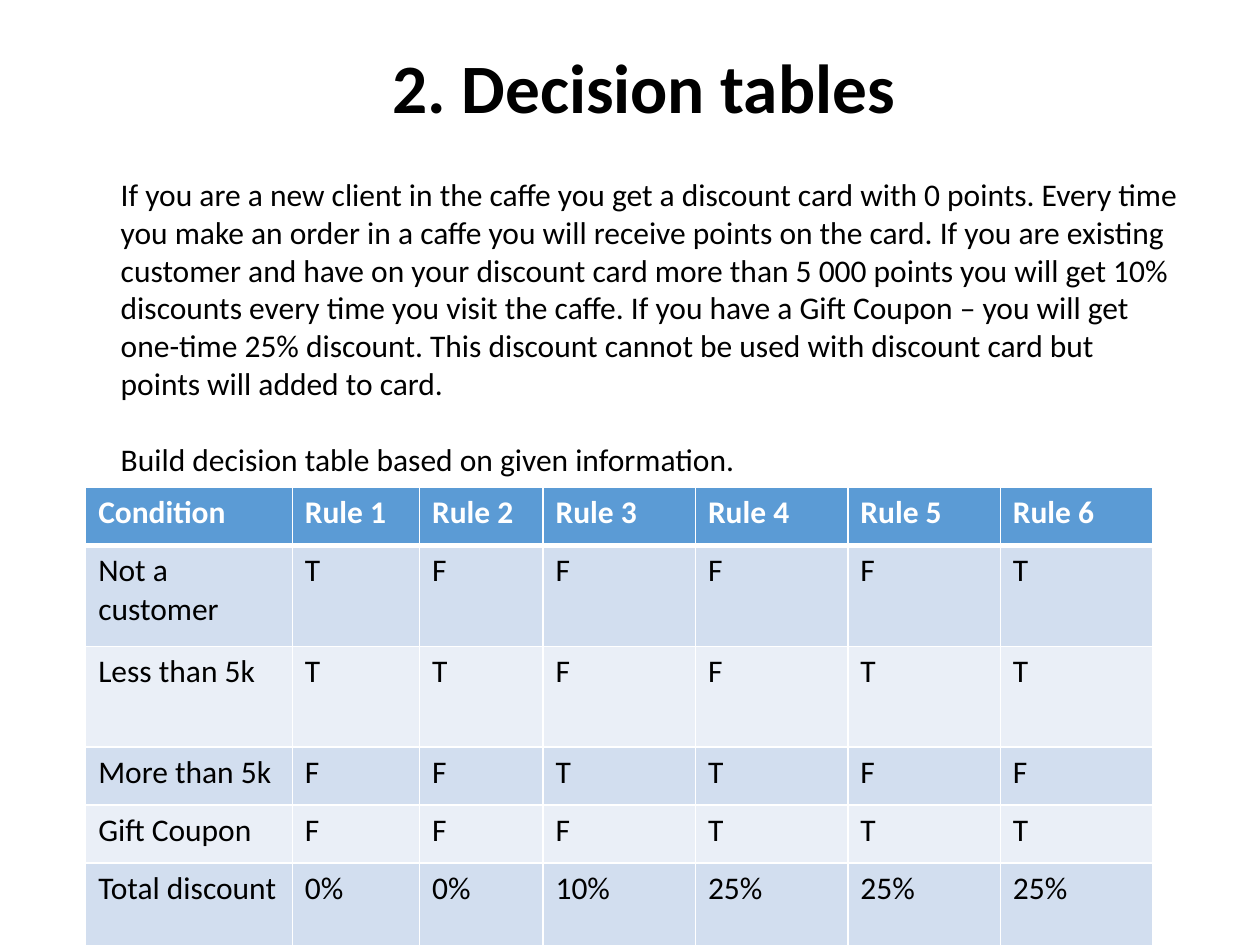
from lxml.etree import SubElement
from pptx import Presentation
from pptx.dml.color import RGBColor
from pptx.enum.text import MSO_ANCHOR, PP_ALIGN
from pptx.oxml.ns import qn
from pptx.util import Inches, Pt

FONT = "Calibri"
BLACK = "000000"
WHITE = "FFFFFF"
HEADER_FILL = "5B9BD5"
BAND_FILLS = ["D2DEEF", "EAEFF7"]

TASK_PARAGRAPHS = [
    "If you are a new client in the caffe you get a discount card with 0 points. "
    "Every time you make an order in a caffe you will receive points on the card. "
    "If you are existing customer and have on your discount card more than 5 000 points "
    "you will get 10% discounts every time you visit the caffe. "
    "If you have a Gift Coupon – you will get one-time 25% discount. "
    "This discount cannot be used with discount card but points will added to card.",
    "Build decision table based on given information.",
]

COLUMN_WIDTHS = [1.64, 1.01, 0.98] + [1.21] * 4
ROW_HEIGHTS = [0.46, 0.8, 0.8, 0.46, 0.46, 0.72]
DECISION_ROWS = [
    ["Condition"] + [f"Rule {number}" for number in range(1, 7)],
    ["Not a customer", *"TFFFFT"],
    ["Less than 5k", *"TTFFTT"],
    ["More than 5k", *"FFTTFF"],
    ["Gift Coupon", *"FFFTTT"],
    ["Total discount", "0%", "0%", "10%", "25%", "25%", "25%"],
]


def color(hex_string):
    return RGBColor.from_string(hex_string)


def add_run(paragraph, text, size, hex_color=BLACK, bold=False):
    run = paragraph.add_run()
    run.text = text
    run.font.name = FONT
    run.font.size = Pt(size)
    run.font.bold = bold
    run.font.color.rgb = color(hex_color)


def add_text_frame(slide, left, top, width, height):
    box = slide.shapes.add_textbox(Inches(left), Inches(top), Inches(width), Inches(height))
    box.text_frame.word_wrap = True
    return box.text_frame


def add_title(slide, text):
    frame = add_text_frame(slide, 0.31, 0.23, 9.6, 0.98)
    frame.vertical_anchor = MSO_ANCHOR.MIDDLE
    paragraph = frame.paragraphs[0]
    paragraph.alignment = PP_ALIGN.CENTER
    paragraph.line_spacing = 0.9
    add_run(paragraph, text, 39.6, bold=True)


def add_task(slide, texts):
    frame = add_text_frame(slide, 0.86, 1.34, 8.59, 2.52)
    for index, text in enumerate(texts):
        paragraph = frame.add_paragraph() if index else frame.paragraphs[0]
        if index:
            paragraph.space_before = Pt(22)
        add_run(paragraph, text, 18)


def set_borders(cell, top, bottom):
    properties = cell._tc.get_or_add_tcPr()
    for side, width in {"L": 1, "R": 1, "T": top, "B": bottom}.items():
        line = SubElement(properties, qn(f"a:ln{side}"), w=str(Pt(width)))
        fill = SubElement(line, qn("a:solidFill"))
        SubElement(fill, qn("a:srgbClr"), val=WHITE)


def fill_cell(cell, text, row_index):
    is_header = row_index == 0
    set_borders(cell, top=3 if row_index == 1 else 1, bottom=3 if is_header else 1)
    cell.fill.solid()
    cell.fill.fore_color.rgb = color(HEADER_FILL if is_header else BAND_FILLS[(row_index - 1) % 2])
    add_run(cell.text_frame.paragraphs[0], text, 18, WHITE if is_header else BLACK, is_header)


def add_decision_table(slide, rows):
    table = slide.shapes.add_table(
        len(rows), len(COLUMN_WIDTHS), Inches(0.68), Inches(3.87),
        Inches(sum(COLUMN_WIDTHS)), Inches(sum(ROW_HEIGHTS)),
    ).table
    for column, width in zip(table.columns, COLUMN_WIDTHS):
        column.width = Inches(width)
    for row, height in zip(table.rows, ROW_HEIGHTS):
        row.height = Inches(height)
    for row_index, texts in enumerate(rows):
        for column_index, text in enumerate(texts):
            fill_cell(table.cell(row_index, column_index), text, row_index)


def main():
    presentation = Presentation()
    presentation.slide_width = Inches(10)
    presentation.slide_height = Inches(7.5)
    slide = presentation.slides.add_slide(presentation.slide_layouts[6])
    add_title(slide, "2. Decision tables")
    add_task(slide, TASK_PARAGRAPHS)
    add_decision_table(slide, DECISION_ROWS)
    presentation.save("out.pptx")


if __name__ == "__main__":
    main()
